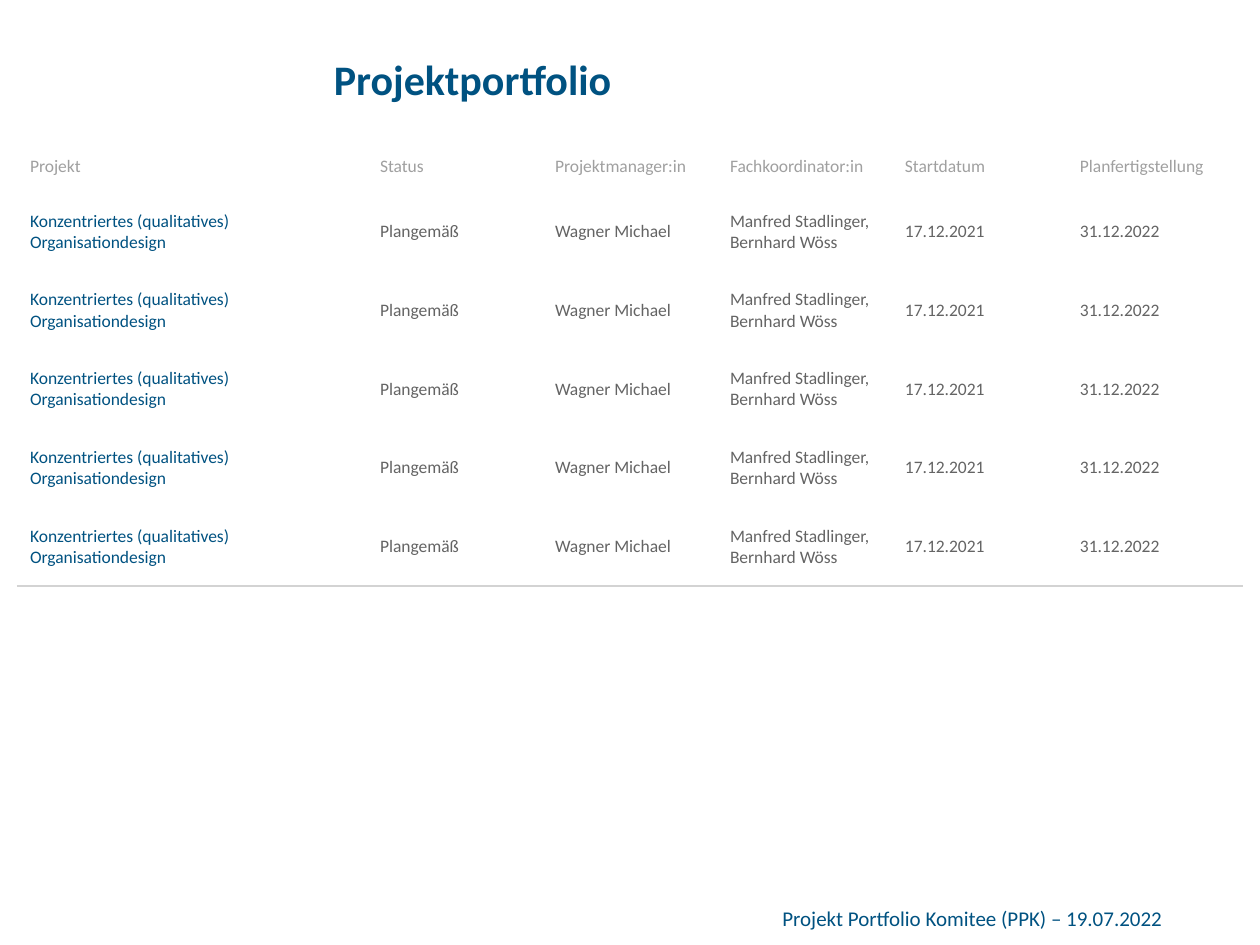
import pptx
import pptx.util
import pptx.dml.color
import pptx.enum.text
import pptx.oxml
import pptx.oxml.ns

NAVY = pptx.dml.color.RGBColor(0x00, 0x52, 0x81)
DARK_GREY = pptx.dml.color.RGBColor(0x64, 0x64, 0x64)
MID_GREY = pptx.dml.color.RGBColor(0xA0, 0xA0, 0xA0)
LIGHT_GREY = pptx.dml.color.RGBColor(0xD3, 0xD3, 0xD3)
WHITE = pptx.dml.color.RGBColor(0xFF, 0xFF, 0xFF)

FONT = "Calibri"
SLIDE_WIDTH = pptx.util.Inches(10)
SLIDE_HEIGHT = pptx.util.Inches(7.5)
GRID_COLUMNS = 36

COLUMN_UNITS = [10, 5, 5, 5, 5, 5]
HEADER_UNITS = 1.5
ROW_UNITS = 2.25
HEADINGS = ["Projekt", "Status", "Projektmanager:in", "Fachkoordinator:in",
            "Startdatum", "Planfertigstellung"]
PROJECT = ["Konzentriertes (qualitatives) Organisationdesign", "Plangemäß",
           "Wagner Michael", "Manfred Stadlinger, Bernhard Wöss",
           "17.12.2021", "31.12.2022"]
PROJECTS = [PROJECT] * 5


def grid(units):
    return round(SLIDE_WIDTH * units / GRID_COLUMNS)


def add_span(para, text, size, color, bold=False):
    span = para.add_run()
    span.text = text
    span.font.name = FONT
    span.font.size = pptx.util.Pt(size)
    span.font.bold = bold
    span.font.color.rgb = color


def set_title(page, text):
    title = page.shapes.title
    title.left, title.top = grid(1), grid(1)
    title.width, title.height = grid(25), grid(2.5)
    title.text_frame.vertical_anchor = pptx.enum.text.MSO_ANCHOR.MIDDLE
    para = title.text_frame.paragraphs[0]
    para.alignment = pptx.enum.text.PP_ALIGN.CENTER
    add_span(para, text, 24, NAVY, bold=True)


def set_border(cell, side, color, width):
    properties = cell._tc.get_or_add_tcPr()
    properties.append(pptx.oxml.parse_xml(
        f'<a:{side} {pptx.oxml.ns.nsdecls("a")} w="{pptx.util.Pt(width)}">'
        f'<a:solidFill><a:srgbClr val="{color}"/></a:solidFill></a:{side}>'))


def fill_cell(cell, text, color, is_last):
    cell.vertical_anchor = pptx.enum.text.MSO_ANCHOR.MIDDLE
    add_span(cell.text_frame.paragraphs[0], text, 10, color)
    for side in ("lnL", "lnR", "lnT"):
        set_border(cell, side, WHITE, 0.75)
    if is_last:
        set_border(cell, "lnB", LIGHT_GREY, 1)
    else:
        set_border(cell, "lnB", WHITE, 0.75)
    cell.fill.solid()
    cell.fill.fore_color.rgb = WHITE


def text_color(row, column):
    if row == 0:
        return MID_GREY
    return NAVY if column == 0 else DARK_GREY


def add_portfolio_table(page):
    rows = [HEADINGS] + PROJECTS
    heights = [HEADER_UNITS] + [ROW_UNITS] * len(PROJECTS)
    table = page.shapes.add_table(
        len(rows), len(HEADINGS), grid(0.5), grid(4),
        grid(sum(COLUMN_UNITS)), grid(sum(heights))).table
    table.horz_banding = False
    for column, units in zip(table.columns, COLUMN_UNITS):
        column.width = grid(units)
    table.first_row = False
    for row, texts in enumerate(rows):
        table.rows[row].height = grid(heights[row])
        for column, text in enumerate(texts):
            fill_cell(table.cell(row, column), text,
                      text_color(row, column), row == len(rows) - 1)


def add_footer(page, text):
    box = page.shapes.add_textbox(grid(22), grid(25), grid(13.5), grid(2.5))
    box.text_frame.word_wrap = True
    box.text_frame.margin_top = pptx.util.Inches(0.24)
    add_span(box.text_frame.paragraphs[0], text, 12, NAVY)


def main():
    deck = pptx.Presentation()
    deck.slide_width, deck.slide_height = SLIDE_WIDTH, SLIDE_HEIGHT
    page = deck.slides.add_slide(deck.slide_layouts.get_by_name("Title Only"))
    set_title(page, "Projektportfolio")
    add_portfolio_table(page)
    add_footer(page, "Projekt Portfolio Komitee (PPK) – 19.07.2022")
    deck.save("out.pptx")


main()
